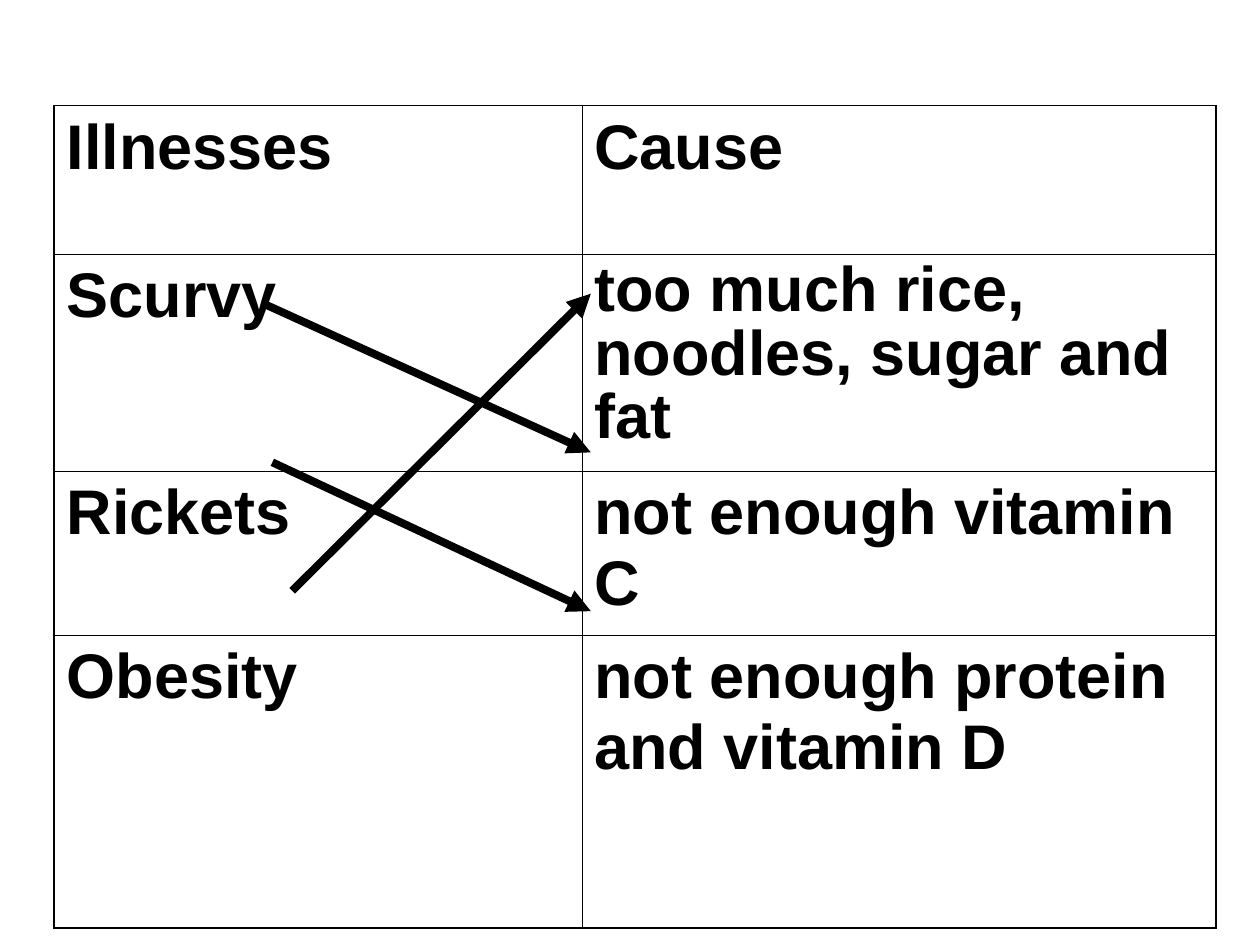
from lxml import etree
from pptx import Presentation
from pptx.dml.color import RGBColor
from pptx.enum.shapes import MSO_CONNECTOR
from pptx.oxml.ns import qn
from pptx.util import Cm, Pt

STRAIGHT = MSO_CONNECTOR.STRAIGHT
BLACK = RGBColor(0, 0, 0)
FONT = "Arial"
OUTER_BORDER = Pt(1.08)
INNER_BORDER = Pt(0.45)

TABLE_LEFT, TABLE_TOP = 1.09, 2.13
COLUMN_WIDTHS = [10.64, 12.78]
ROW_HEIGHTS = [3, 4.37, 3.31, 5.9]
ROWS = [
    ("Illnesses", "Cause"),
    ("Scurvy", "too much rice, noodles, sugar and fat"),
    ("Rickets", "not enough vitamin C"),
    ("Obesity", "not enough protein and vitamin D"),
]
TIGHT_CELL = (1, 1)

ARROW_END = 11.91
ARROWS = [  # start x, start y, end y
    (5.31, 6.12, 9.12),
    (5.49, 9.32, 12.32),
    (5.89, 11.91, 5.92),
]


def set_border(cell, side, width):
    properties = cell._tc.get_or_add_tcPr()
    line = etree.SubElement(properties, qn(f"a:ln{side}"), w=str(width))
    fill = etree.SubElement(line, qn("a:solidFill"))
    etree.SubElement(fill, qn("a:srgbClr"), val=str(BLACK))


def fill_cell(cell, text):
    cell.fill.background()
    paragraph = cell.text_frame.paragraphs[0]
    run = paragraph.add_run()
    run.text = text
    run.font.name = FONT
    run.font.size = Pt(36)
    run.font.bold = True
    run.font.color.rgb = BLACK
    return paragraph


def add_illness_table(slide):
    last_row, last_column = len(ROWS) - 1, len(COLUMN_WIDTHS) - 1
    frame = slide.shapes.add_table(
        len(ROWS), len(COLUMN_WIDTHS), Cm(TABLE_LEFT), Cm(TABLE_TOP),
        Cm(sum(COLUMN_WIDTHS)), Cm(sum(ROW_HEIGHTS)))
    table = frame.table
    table.first_row = False
    table.horz_banding = False
    for column, width in zip(table.columns, COLUMN_WIDTHS):
        column.width = Cm(width)
    for row, height in zip(table.rows, ROW_HEIGHTS):
        row.height = Cm(height)

    for row_index, texts in enumerate(ROWS):
        for column_index, text in enumerate(texts):
            cell = table.cell(row_index, column_index)
            outer_sides = {
                "L": column_index == 0,
                "R": column_index == last_column,
                "T": row_index == 0,
                "B": row_index == last_row,
            }
            for side, is_outer in outer_sides.items():
                set_border(cell, side, OUTER_BORDER if is_outer else INNER_BORDER)
            paragraph = fill_cell(cell, text)
            if (row_index, column_index) == TIGHT_CELL:
                paragraph.line_spacing = 0.9


def add_arrow(slide, start_x, start_y, end_x, end_y):
    arrow = slide.shapes.add_connector(
        STRAIGHT, Cm(start_x), Cm(start_y), Cm(end_x), Cm(end_y))
    arrow.line.color.rgb = BLACK
    arrow.line.width = Pt(4.5)
    etree.SubElement(arrow.line._get_or_add_ln(), qn("a:tailEnd"), type="triangle")
    etree.SubElement(arrow._element.spPr, qn("a:effectLst"))


def main():
    presentation = Presentation()
    presentation.slide_width = Cm(25.4)
    presentation.slide_height = Cm(19.05)
    slide = presentation.slides.add_slide(presentation.slide_layouts[6])
    add_illness_table(slide)
    for start_x, start_y, end_y in ARROWS:
        add_arrow(slide, start_x, start_y, ARROW_END, end_y)
    presentation.save("out.pptx")


if __name__ == "__main__":
    main()
